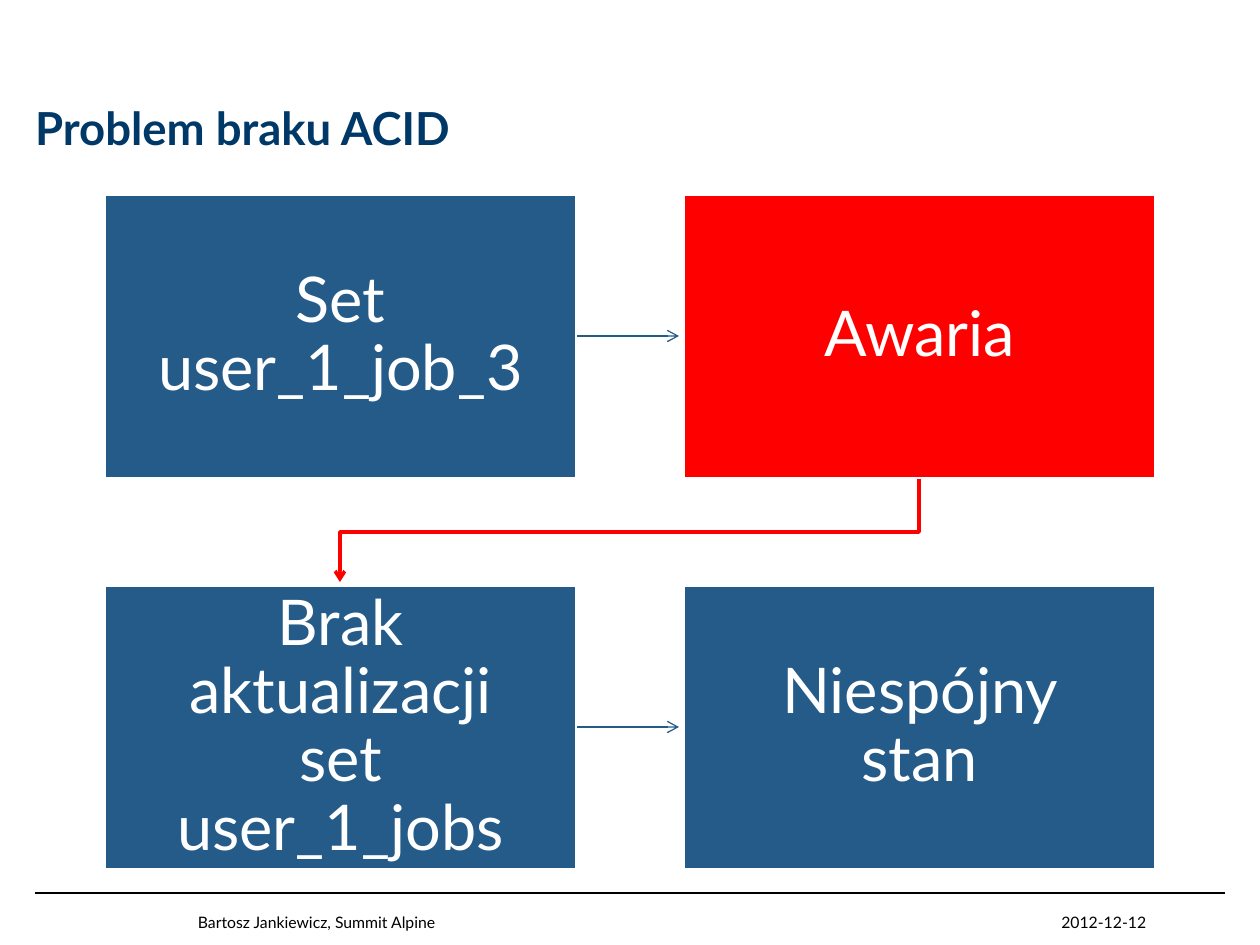
from dataclasses import dataclass

from lxml.etree import SubElement
from pptx import Presentation
from pptx.dml.color import RGBColor
from pptx.enum.shapes import MSO_CONNECTOR as Connector, MSO_SHAPE as Shape
from pptx.enum.text import MSO_ANCHOR as Anchor, PP_ALIGN as Align
from pptx.oxml.ns import qn
from pptx.util import Emu, Pt

PX_PER_INCH = 126
FONT = "Lato"
BLUE, RED, NAVY = "255B89", "FF0000", "003868"
WHITE, BLACK = "FFFFFF", "000000"
STEP_WIDTH, STEP_HEIGHT = 471, 283
COLUMNS = (105, 684)
ROWS = (195, 586)


@dataclass(frozen=True)
class Step:
    text: str
    column: int
    row: int
    fill: str = BLUE


@dataclass(frozen=True)
class Footer:
    text: str
    left: int
    width: int
    align: Align


STEPS = (
    Step("Set user_1_job_3", 0, 0),
    Step("Awaria", 1, 0, RED),
    Step("Brak aktualizacji set user_1_jobs", 0, 1),
    Step("Niespójny stan", 1, 1),
)
FOOTERS = (
    Footer("2012-12-12", 848, 298, Align.RIGHT),
    Footer("Bartosz Jankiewicz, Summit Alpine", 198, 645, Align.LEFT),
)


def px(length: int) -> Emu:
    """Turn pixels into EMU."""
    return Emu(round(length * 914400 / PX_PER_INCH))


def color(value: str) -> RGBColor:
    """Turn a hex string into a colour."""
    return RGBColor.from_string(value)


def write(box, text: str, size: int, ink: str, align: Align, anchor: Anchor,
          inset: int = 0, bold: bool = False):
    """Write one formatted paragraph into a box and return it."""
    frame = box.text_frame
    frame.text = text
    frame.word_wrap = True
    frame.vertical_anchor = anchor
    frame.margin_left = frame.margin_right = px(inset)
    frame.margin_top = frame.margin_bottom = px(inset)
    para = frame.paragraphs[0]
    para.alignment = align
    font = para.runs[0].font
    font.name, font.size, font.bold = FONT, Pt(size), bold
    font.color.rgb = color(ink)
    return para


def style_line(line_shape, ink: str, width: float, arrow: bool = True) -> None:
    """Colour a line, drop its shadow and give it an arrowhead if wanted."""
    line_shape.line.color.rgb = color(ink)
    line_shape.line.width = Pt(width)
    properties = line_shape._element.spPr
    if arrow:
        SubElement(properties.find(qn("a:ln")), qn("a:tailEnd"), type="arrow")
    SubElement(properties, qn("a:effectLst"))


def add_line(page, left: int, right: int, y: int, ink: str, width: float,
             arrow: bool = True) -> None:
    """Draw a horizontal line."""
    line = page.shapes.add_connector(
        Connector.STRAIGHT, px(left), px(y), px(right), px(y))
    style_line(line, ink, width, arrow)


def add_return_arrow(page) -> None:
    """Lead from the failure down to the first step of the second row."""
    start_x, end_x = (left + STEP_WIDTH // 2 for left in reversed(COLUMNS))
    top, bottom = ROWS[0] + STEP_HEIGHT, ROWS[1] - 4
    middle = (ROWS[0] + STEP_HEIGHT + ROWS[1]) // 2
    builder = page.shapes.build_freeform(px(start_x), px(top))
    corners = ((start_x, middle), (end_x, middle), (end_x, bottom))
    builder.add_line_segments([(px(x), px(y)) for x, y in corners], close=False)
    arrow = builder.convert_to_shape()
    arrow.fill.background()
    style_line(arrow, RED, 2)


def add_step(page, step: Step) -> None:
    """Draw one step of the flow."""
    box = page.shapes.add_shape(
        Shape.RECTANGLE, px(COLUMNS[step.column]), px(ROWS[step.row]),
        px(STEP_WIDTH), px(STEP_HEIGHT))
    box.shadow.inherit = False
    box.fill.solid()
    box.fill.fore_color.rgb = color(step.fill)
    box.line.color.rgb = color(WHITE)
    box.line.width = Pt(0.85)
    para = write(box, step.text, 36, WHITE, Align.CENTER, Anchor.MIDDLE, 35)
    para.line_spacing = 0.9


def add_footer(page, footer: Footer) -> None:
    """Write one footer entry."""
    box = page.shapes.add_textbox(
        px(footer.left), px(907), px(footer.width), px(25))
    write(box, footer.text, 9, BLACK, footer.align, Anchor.BOTTOM)


def add_title(page, text: str) -> None:
    """Place and format the title."""
    title = page.shapes.title
    title.left, title.top = px(35), px(55)
    title.width, title.height = px(1190), px(100)
    write(title, text, 26, NAVY, Align.LEFT, Anchor.BOTTOM, bold=True)


def main() -> None:
    """Build the slide and save it."""
    deck = Presentation()
    deck.slide_width, deck.slide_height = px(1260), px(945)
    page = deck.slides.add_slide(deck.slide_layouts[5])
    add_title(page, "Problem braku ACID")
    add_line(page, 35, 1225, 893, BLACK, 1, arrow=False)
    for row in ROWS:
        add_line(page, COLUMNS[0] + STEP_WIDTH, COLUMNS[1] - 5,
                 row + STEP_HEIGHT // 2, BLUE, 0.75)
    add_return_arrow(page)
    for step in STEPS:
        add_step(page, step)
    for footer in FOOTERS:
        add_footer(page, footer)
    deck.save("out.pptx")


if __name__ == "__main__":
    main()
